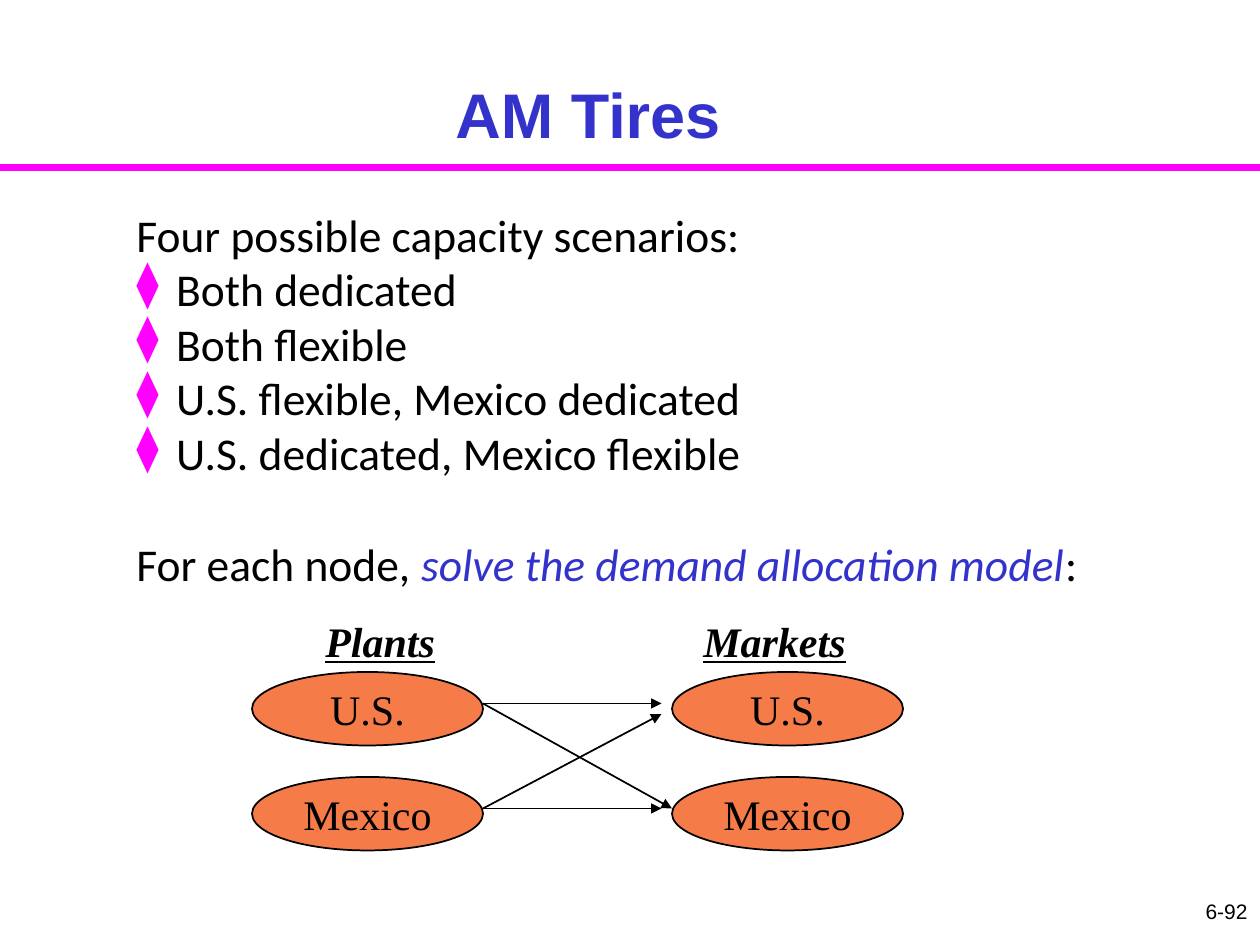
from dataclasses import dataclass

from lxml.etree import SubElement
from pptx import Presentation
from pptx.dml.color import RGBColor
from pptx.enum.shapes import MSO_CONNECTOR, MSO_SHAPE
from pptx.enum.text import MSO_ANCHOR, PP_ALIGN
from pptx.oxml.ns import qn
from pptx.util import Pt

PX = 7620  # EMU per px, 120 px to the inch


@dataclass(frozen=True)
class Theme:
    black: str = "000000"
    blue: str = "3333CC"
    magenta: str = "FF00FF"
    orange: str = "F57B49"
    heading_font: str = "Arial"
    body_font: str = "Calibri"
    diagram_font: str = "Times New Roman"
    title_size: int = 36
    body_size: int = 26
    diagram_size: int = 24
    number_size: int = 12


theme = Theme()


def add_run(paragraph, text, font, size, color=theme.black, bold=False, italic=False, underline=False):
    run = paragraph.add_run()
    run.text = text
    run.font.name = font
    run.font.size = Pt(size)
    run.font.color.rgb = RGBColor.from_string(color)
    run.font.bold = bold
    run.font.italic = italic
    run.font.underline = underline


def add_line(start, end, color, width, arrow=False):
    points = [value * PX for value in (*start, *end)]
    connector = slide.shapes.add_connector(MSO_CONNECTOR.STRAIGHT, *points)
    connector.line.color.rgb = RGBColor.from_string(color)
    connector.line.width = Pt(width)
    if arrow:
        SubElement(connector.line._get_or_add_ln(), qn("a:tailEnd"), type="triangle")
    SubElement(connector._element.spPr, qn("a:effectLst"))


presentation = Presentation()
presentation.slide_width = 1200 * PX
presentation.slide_height = 900 * PX
slide = presentation.slides.add_slide(presentation.slide_layouts[6])

# Rule under the title
add_line((0, 160), (1200, 160), theme.magenta, 4)

# Text boxes: left, top, width, height
boxes = {
    "number": (950, 850, 250, 50),
    "title": (50, 35, 1020, 115),
    "scenarios": (118, 191, 1020, 377),
    "headings": (298, 580, 692, 46),
}
frames = {}
for name, bounds in boxes.items():
    text_box = slide.shapes.add_textbox(*[value * PX for value in bounds])
    frames[name] = text_box.text_frame
    frames[name].word_wrap = True

# Slide number
paragraph = frames["number"].paragraphs[0]
paragraph.alignment = PP_ALIGN.RIGHT
add_run(paragraph, "6-92", theme.heading_font, theme.number_size)

# Title
frames["title"].vertical_anchor = MSO_ANCHOR.BOTTOM
paragraph = frames["title"].paragraphs[0]
paragraph.alignment = PP_ALIGN.CENTER
add_run(paragraph, "AM Tires", theme.heading_font, theme.title_size, theme.blue, bold=True)

# Capacity scenarios
frame = frames["scenarios"]
add_run(frame.paragraphs[0], "Four possible capacity scenarios:", theme.body_font, theme.body_size)
scenarios = [
    "Both dedicated",
    "Both flexible",
    "U.S. flexible, Mexico dedicated",
    "U.S. dedicated, Mexico flexible",
]
for scenario in scenarios:
    paragraph = frame.add_paragraph()
    properties = paragraph._p.get_or_add_pPr()
    properties.set("marL", str(38 * PX))
    properties.set("indent", str(-38 * PX))
    bullet_color = SubElement(properties, qn("a:buClr"))
    SubElement(bullet_color, qn("a:srgbClr"), val=theme.magenta)
    SubElement(properties, qn("a:buChar"), char="⧫")
    add_run(paragraph, scenario, theme.body_font, theme.body_size)

# Closing sentence
paragraph = frame.add_paragraph()
paragraph.space_before = Pt(32)
add_run(paragraph, "For each node, ", theme.body_font, theme.body_size)
add_run(paragraph, "solve the demand allocation model", theme.body_font, theme.body_size,
        theme.blue, italic=True)
add_run(paragraph, ":", theme.body_font, theme.body_size)

# Diagram headings, the second one on a tab stop
paragraph = frames["headings"].paragraphs[0]
tab_list = SubElement(paragraph._p.get_or_add_pPr(), qn("a:tabLst"))
SubElement(tab_list, qn("a:tab"), pos=str(360 * PX), algn="l")
for text in ("Plants", "\t", "Markets"):
    heading = text != "\t"
    add_run(paragraph, text, theme.diagram_font, theme.diagram_size,
            bold=heading, italic=heading, underline=heading)

# Plant and market nodes
for left in (240, 640):
    for top, country in ((640, "U.S."), (740, "Mexico")):
        node = slide.shapes.add_shape(MSO_SHAPE.OVAL, left * PX, top * PX, 220 * PX, 70 * PX)
        node.shadow.inherit = False
        node.fill.solid()
        node.fill.fore_color.rgb = RGBColor.from_string(theme.orange)
        node.line.color.rgb = RGBColor.from_string(theme.black)
        node.line.width = Pt(1)
        node.text_frame.word_wrap = False
        node.text_frame.vertical_anchor = MSO_ANCHOR.MIDDLE
        paragraph = node.text_frame.paragraphs[0]
        paragraph.alignment = PP_ALIGN.CENTER
        add_run(paragraph, country, theme.diagram_font, theme.diagram_size)

# Flows from plants to markets
flows = [
    ((460, 670), (630, 670)),
    ((460, 670), (640, 770)),
    ((460, 770), (630, 680)),
    ((460, 770), (630, 770)),
]
for start, end in flows:
    add_line(start, end, theme.black, 1, arrow=True)

presentation.save("out.pptx")
